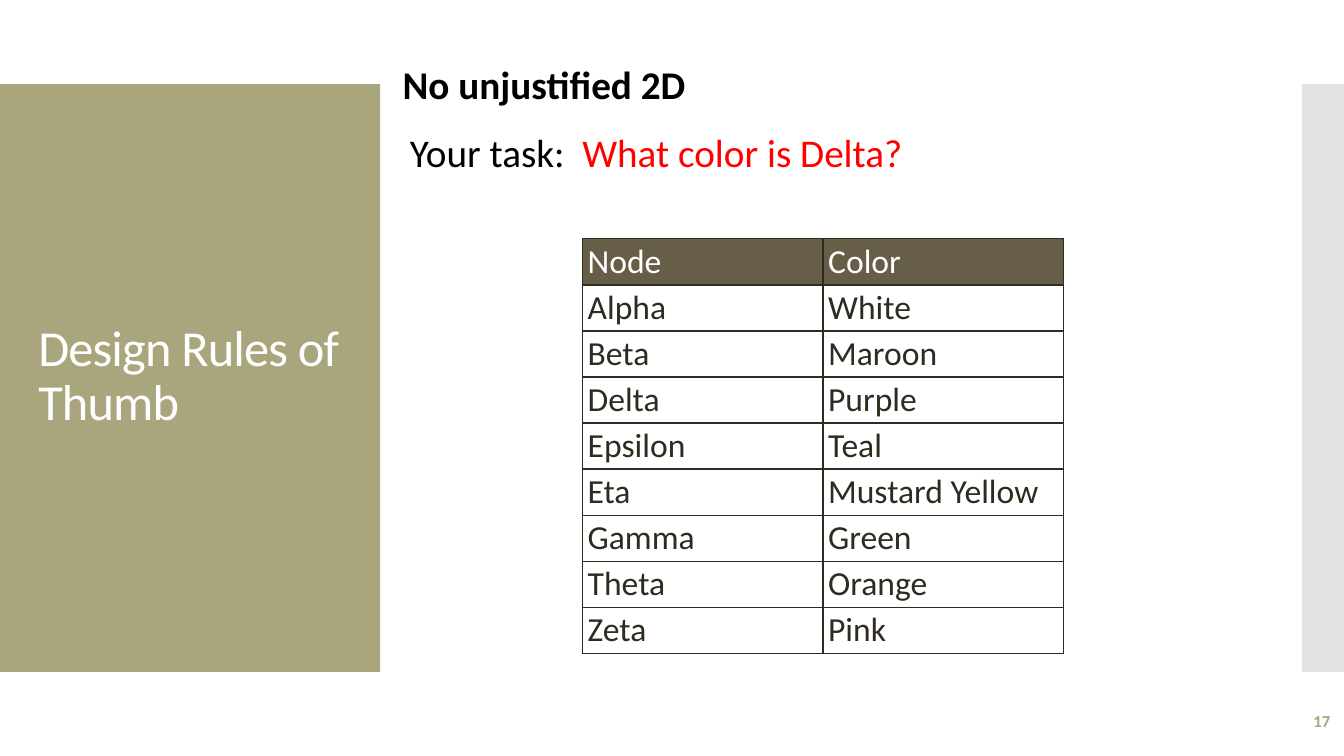
import pptx
import pptx.dml.color
import pptx.enum.shapes
import pptx.enum.text
import pptx.oxml
import pptx.util
from lxml import etree
from pptx.util import Cm

FONT = "Calibri"
OLIVE, BROWN, INK, GREY = "A9A57C", "675E47", "2F2B20", "C8C8C8"
WHITE, BLACK, RED = "FFFFFF", "000000", "FF0000"
ALIGN = pptx.enum.text.PP_ALIGN
ANCHOR = pptx.enum.text.MSO_ANCHOR
A = "http://schemas.openxmlformats.org/drawingml/2006/main"

NODE_COLORS = [
    ("Node", "Color"),
    ("Alpha", "White"),
    ("Beta", "Maroon"),
    ("Delta", "Purple"),
    ("Epsilon", "Teal"),
    ("Eta", "Mustard Yellow"),
    ("Gamma", "Green"),
    ("Theta", "Orange"),
    ("Zeta", "Pink"),
]


def set_color(target, color):
    target.rgb = pptx.dml.color.RGBColor.from_string(color)


def add_text(paragraph, text, size=28, color=BLACK, bold=False, spacing=None):
    """Append a formatted run; spacing is in points."""
    run = paragraph.add_run()
    run.text = text
    run.font.name = FONT
    run.font.size = pptx.util.Pt(size)
    run.font.bold = bold
    set_color(run.font.color, color)
    if spacing is not None:
        run.font._element.set("spc", str(round(spacing * 100)))


def add_panel(slide, left, top, width, height, color, opacity=100):
    panel = slide.shapes.add_shape(
        pptx.enum.shapes.MSO_SHAPE.RECTANGLE, Cm(left), Cm(top), Cm(width), Cm(height))
    panel.shadow.inherit = False
    panel.line.fill.background()
    panel.fill.solid()
    set_color(panel.fill.fore_color, color)
    if opacity < 100:
        rgb = panel._element.spPr.find(f".//{{{A}}}srgbClr")
        etree.SubElement(rgb, f"{{{A}}}alpha", val=str(opacity * 1000))


def add_box(slide, left, top, width, height, indent=0.0, align=ALIGN.LEFT, anchor=ANCHOR.TOP):
    """Add a wrapping text box and return its first paragraph."""
    frame = slide.shapes.add_textbox(Cm(left), Cm(top), Cm(width), Cm(height)).text_frame
    frame.word_wrap = True
    frame.vertical_anchor = anchor
    paragraph = frame.paragraphs[0]
    paragraph.alignment = align
    paragraph._p.get_or_add_pPr().set("marL", str(Cm(indent)))
    return paragraph


def place_title(slide, text, left, top, width, height):
    title = slide.shapes.title
    title.left, title.top, title.width, title.height = Cm(left), Cm(top), Cm(width), Cm(height)
    title.text_frame.word_wrap = True
    title.text_frame.auto_size = pptx.enum.text.MSO_AUTO_SIZE.NONE
    title.text_frame.vertical_anchor = ANCHOR.MIDDLE
    paragraph = title.text_frame.paragraphs[0]
    paragraph.alignment = ALIGN.LEFT
    paragraph.line_spacing = 0.9
    add_text(paragraph, text, size=36, color=WHITE, spacing=-0.6)
    # Bring the title in front of the panels
    slide.shapes._spTree.append(title._element)


def add_borders(cell, color, width):
    properties = cell._tc.get_or_add_tcPr()
    for index, side in enumerate(("lnL", "lnR", "lnT", "lnB")):
        properties.insert(index, pptx.oxml.parse_xml(
            f'<a:{side} xmlns:a="{A}" w="{pptx.util.Pt(width)}">'
            f'<a:solidFill><a:srgbClr val="{color}"/></a:solidFill></a:{side}>'))


def add_color_table(slide, rows, left, top, width, row_height):
    table = slide.shapes.add_table(
        len(rows), len(rows[0]), Cm(left), Cm(top), Cm(width), Cm(row_height * len(rows))).table
    table.horz_banding = False
    for row_index, row in enumerate(rows):
        header = row_index == 0
        for column_index, text in enumerate(row):
            cell = table.cell(row_index, column_index)
            cell.margin_left = cell.margin_right = Cm(0.13)
            cell.margin_top = cell.margin_bottom = Cm(0.06)
            if header:
                cell.fill.solid()
                set_color(cell.fill.fore_color, BROWN)
            else:
                cell.fill.background()
            add_borders(cell, INK, 1)
            add_text(cell.text_frame.paragraphs[0], text, size=24,
                     color=WHITE if header else INK)


def main():
    deck = pptx.Presentation()
    deck.slide_width, deck.slide_height = Cm(33.87), Cm(19.05)
    slide = deck.slides.add_slide(deck.slide_layouts.get_by_name("Title Only"))

    # Side panels and slide number
    add_panel(slide, 0, 2.12, 9.58, 14.81, OLIVE)
    add_panel(slide, 32.81, 2.12, 1.06, 14.81, GREY, opacity=50)
    number = add_box(slide, 29.54, 17.65, 4.24, 1.02, align=ALIGN.RIGHT, anchor=ANCHOR.MIDDLE)
    add_text(number, "17", size=12, color=OLIVE, bold=True)

    # Lookup table
    add_color_table(slide, NODE_COLORS, 14.68, 6.02, 12.12, 1.16)

    # Title, rule and task
    place_title(slide, "Design Rules of Thumb", 0.71, 3.12, 8.18, 12.78)
    rule = add_box(slide, 9.47, 1.4, 23, 2.84, indent=0.43)
    add_text(rule, "No unjustified 2D", bold=True)
    task = add_box(slide, 9.65, 3.12, 15.16, 10.24, indent=0.43)
    add_text(task, "Your task:  ")
    add_text(task, "What color is Delta?", color=RED)

    deck.save("out.pptx")


if __name__ == "__main__":
    main()
